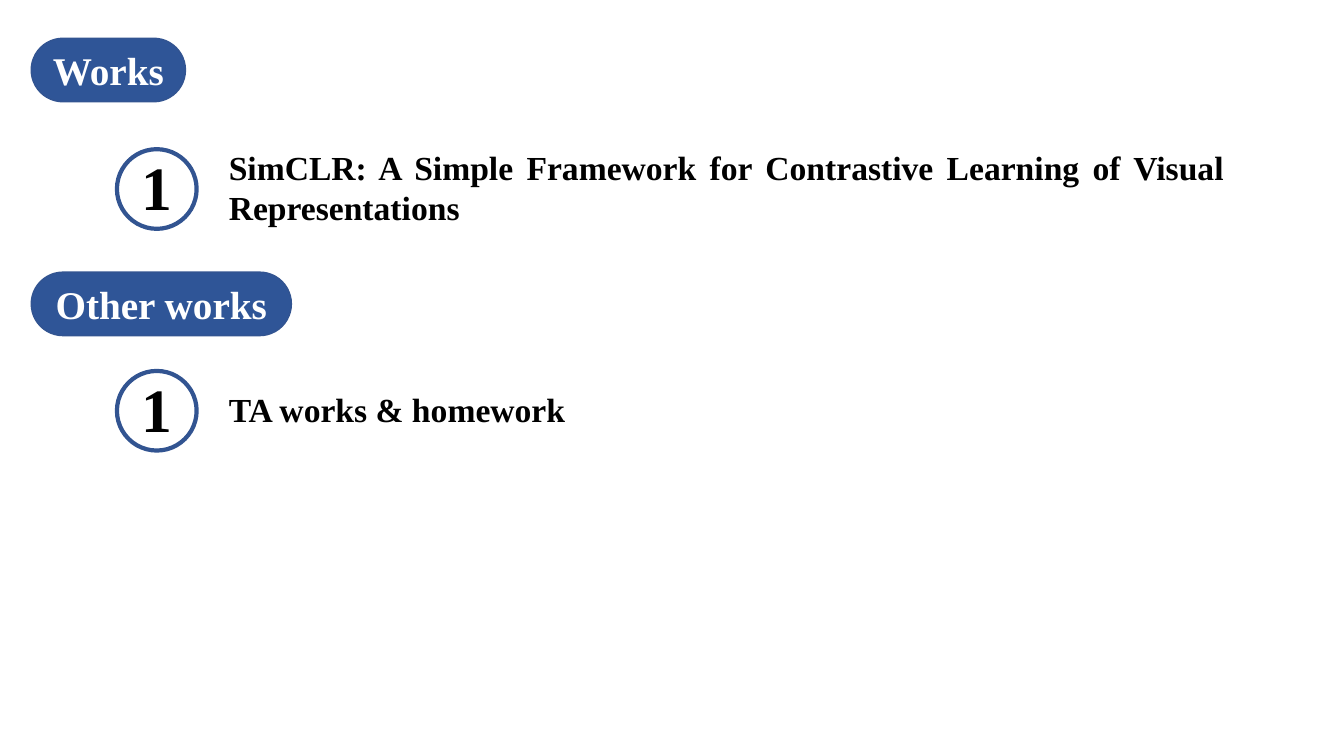
"""Build a slide listing main works and other works under two pill headings."""
from dataclasses import dataclass

from pptx import Presentation
from pptx.dml.color import RGBColor
from pptx.enum.shapes import MSO_SHAPE
from pptx.enum.text import MSO_ANCHOR, MSO_AUTO_SIZE, PP_ALIGN
from pptx.util import Inches, Pt

PILL, CIRCLE = MSO_SHAPE.ROUNDED_RECTANGLE, MSO_SHAPE.OVAL
TOP, MIDDLE = MSO_ANCHOR.TOP, MSO_ANCHOR.MIDDLE
CENTER, JUSTIFY = PP_ALIGN.CENTER, PP_ALIGN.JUSTIFY
GROW = MSO_AUTO_SIZE.SHAPE_TO_FIT_TEXT


@dataclass(frozen=True)
class Theme:
    font: str = "Times New Roman"
    fill: RGBColor = RGBColor(0x2F, 0x55, 0x97)
    outline: RGBColor = RGBColor(0x32, 0x54, 0x91)
    dark: RGBColor = RGBColor(0, 0, 0)
    light: RGBColor = RGBColor(255, 255, 255)
    heading: Pt = Pt(28)
    item: Pt = Pt(24)
    number: Pt = Pt(44)


theme = Theme()


def add_outline(shapes, kind, bounds, fill=None, line_width=None):
    shape = shapes.add_shape(kind, *map(Inches, bounds))
    shape.shadow.inherit = False
    if kind == PILL:
        shape.adjustments[0] = 0.5
    if fill is None:
        shape.fill.background()
    else:
        shape.fill.solid()
        shape.fill.fore_color.rgb = fill
    if line_width is None:
        shape.line.fill.background()
    else:
        shape.line.color.rgb = theme.outline
        shape.line.width = Pt(line_width)
    return shape


def write(box, text, size, color, alignment, anchor=MIDDLE):
    frame = box.text_frame
    frame.word_wrap = True
    frame.vertical_anchor = anchor
    para = frame.paragraphs[0]
    para.alignment = alignment
    span = para.add_run()
    span.text = text
    for name, value in {"name": theme.font, "size": size, "bold": True}.items():
        setattr(span.font, name, value)
    span.font.color.rgb = color


deck = Presentation()
deck.slide_width, deck.slide_height = Inches(13.33), Inches(7.5)
page = deck.slides.add_slide(deck.slide_layouts[6])

sections = [
    ("Works", 0.38, 1.53, 1.34, 10.37,
     "SimCLR: A Simple Framework for Contrastive Learning of Visual Representations"),
    ("Other works", 2.7, 2.58, 3.54, 10.14, "TA works & homework"),
]

for heading, heading_top, heading_width, item_top, item_width, item in sections:
    pill = add_outline(page.shapes, PILL, (0.31, heading_top, heading_width, 0.63),
                       theme.fill, 1)
    write(pill, heading, theme.heading, theme.light, CENTER)

    badge = page.shapes.add_group_shape()
    circle_top = item_top + (1.03 - 0.79) / 2
    add_outline(badge.shapes, CIRCLE, (1.16, circle_top + 0.02, 0.79, 0.79), line_width=3)
    number = badge.shapes.add_textbox(*map(Inches, (1.17, circle_top - 0.03, 0.78, 0.84)))
    write(number, "1", theme.number, theme.dark, CENTER, TOP)
    number.text_frame.auto_size = GROW

    label = add_outline(page.shapes, PILL, (2.02, item_top, item_width, 1.03))
    write(label, item, theme.item, theme.dark, JUSTIFY)

deck.save("out.pptx")
